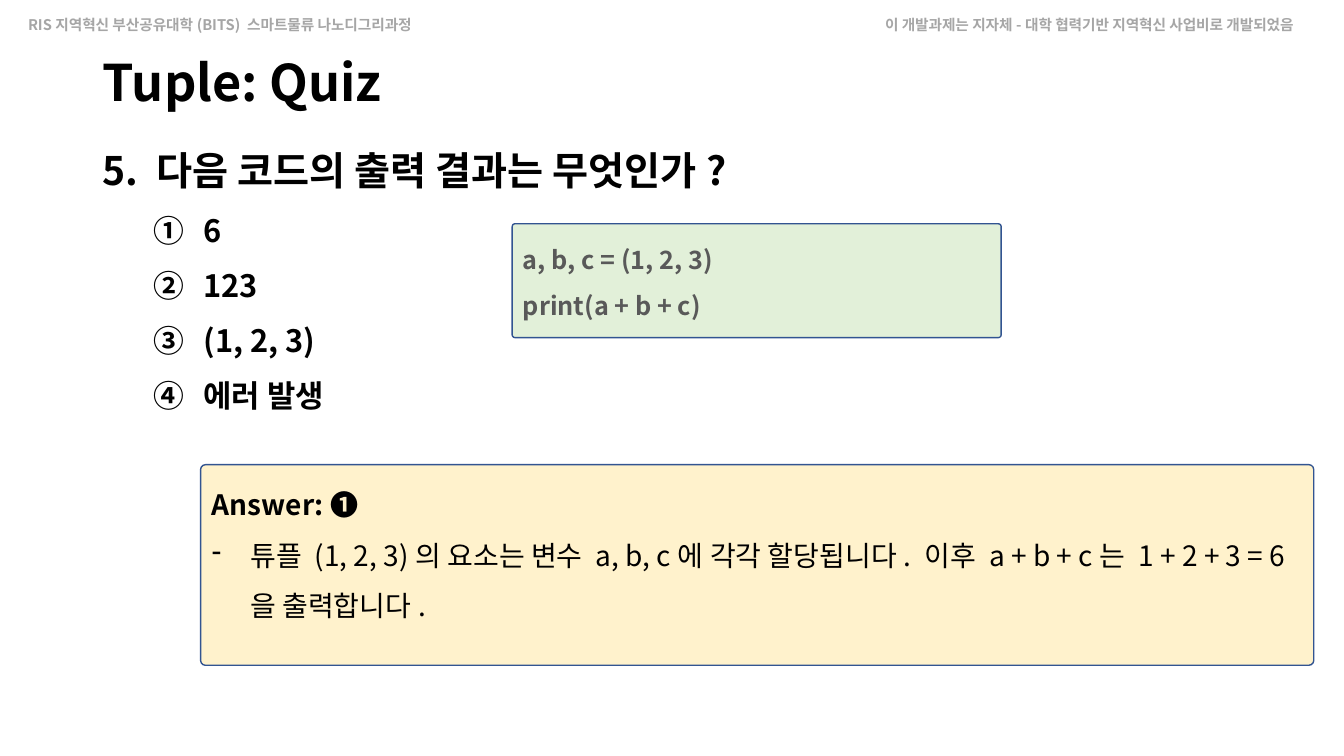
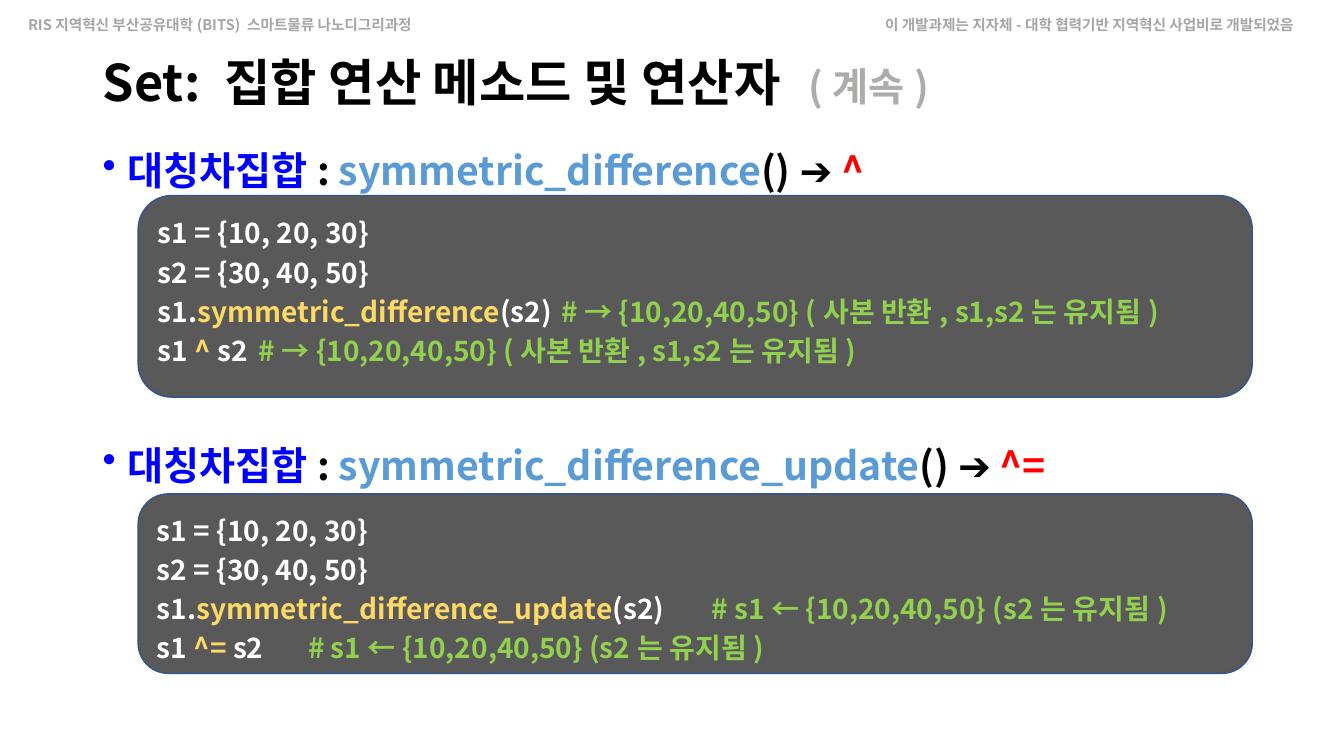
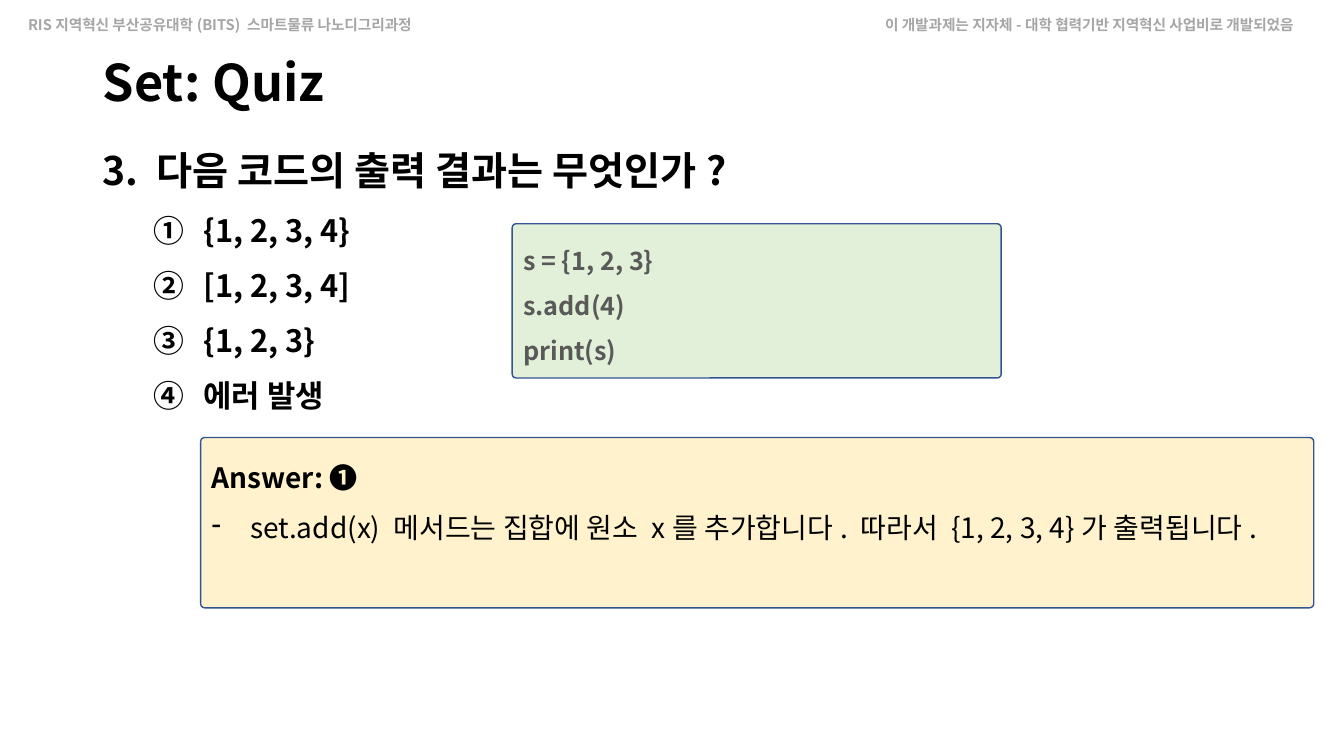
import pptx
import pptx.dml.color
import pptx.enum.shapes
import pptx.enum.text
import pptx.oxml.ns
import pptx.util
from lxml import etree

FONT = "Noto Sans CJK KR"
SLIDE_W, SLIDE_H = 13.33, 7.5
LEFT, BODY_TOP = 0.92, 1.17
COLORS = {
    "black": "000000", "white": "FFFFFF", "header": "A6A6A6", "muted": "AFABAB",
    "term": "0000FF", "method": "5B9BD5", "operator": "FF0000",
    "border": "325491", "answer": "FFF2CC", "quiz_code": "E2F0D9", "dark": "595959",
    "highlight": "FFD966", "comment": "92D050",
}

# Content
HEADERS = [  # text, left, width
    ("RIS지역혁신 부산공유대학(BITS) 스마트물류 나노디그리과정", 0.18, 4.24),
    ("이 개발과제는 지자체-대학 협력기반 지역혁신 사업비로 개발되었음", 8.68, 4.66),
]
TUPLE_QUIZ = {
    "title": "Tuple: Quiz",
    "question": "5. 다음 코드의 출력 결과는 무엇인가?",
    "options": ["6", "123", "(1, 2, 3)", "에러 발생"],
    "code": ["a, b, c = (1, 2, 3)", "print(a + b + c)"],
    "code_height": 1.13,
    "answer": "Answer: ❶",
    "reason": "튜플 (1, 2, 3)의 요소는 변수 a, b, c에 각각 할당됩니다. "
              "이후 a + b + c는 1 + 2 + 3 = 6을 출력합니다.",
    "answer_top": 4.61, "answer_height": 1.99,
}
SET_QUIZ = {
    "title": "Set: Quiz",
    "question": "3. 다음 코드의 출력 결과는 무엇인가?",
    "options": ["{1, 2, 3, 4}", "[1, 2, 3, 4]", "{1, 2, 3}", "에러 발생"],
    "code": ["s = {1, 2, 3}", "s.add(4)", "print(s)"],
    "code_height": 1.53,
    "answer": "Answer: ❶",
    "reason": "set.add(x) 메서드는 집합에 원소 x를 추가합니다. "
              "따라서 {1, 2, 3, 4}가 출력됩니다.",
    "answer_top": 4.34, "answer_height": 1.69,
}
SET_TITLE = [("Set: 집합 연산 메소드 및 연산자\t", "black"), ("(계속)", "muted", 28)]
SET_LINES = ["s1 = {10, 20, 30}", "s2 = {30, 40, 50}"]
SET_METHODS = [  # tabs: where the comment starts on the call and operator lines
    {"method": "symmetric_difference", "operator": "^", "top": 1.94, "height": 2,
     "comment": "# → {10,20,40,50} (사본 반환, s1,s2는 유지됨)", "tabs": (4, 4)},
    {"method": "symmetric_difference_update", "operator": "^=", "top": 4.9, "height": 1.78,
     "comment": "# s1 ← {10,20,40,50} (s2는 유지됨)", "tabs": (6, 5)},
]


def rgb(name):
    return pptx.dml.color.RGBColor.from_string(COLORS[name])


def inches(*lengths):
    return [pptx.util.Inches(length) for length in lengths]


def add_property(properties, tag, **attributes):
    return etree.SubElement(properties, pptx.oxml.ns.qn(tag), attributes)


def write(frame, text, size=20, color="black", bold=True, line=1.0, before=0,
          level=0, indent=0, hang=0, bullet=None, numbering=None, tab=None):
    """Add one paragraph; text is a string or (text, color[, size]) runs."""
    paragraph = frame.paragraphs[0]
    if paragraph.runs:
        paragraph = frame.add_paragraph()
    properties = paragraph._p.get_or_add_pPr()
    properties.set("marL", str(pptx.util.Inches(indent)))
    properties.set("indent", str(pptx.util.Inches(-hang)))
    if bullet:
        add_property(properties, "a:buChar", char=bullet)
    elif numbering:
        add_property(properties, "a:buAutoNum", type=numbering)
    else:
        add_property(properties, "a:buNone")
    if tab:
        stops = add_property(properties, "a:tabLst")
        add_property(stops, "a:tab", pos=str(pptx.util.Inches(tab)), algn="l")
    paragraph.level = level
    paragraph.alignment = pptx.enum.text.PP_ALIGN.LEFT
    paragraph.line_spacing = line
    paragraph.space_before = pptx.util.Pt(before)
    for part, part_color, *part_size in [(text, color)] if isinstance(text, str) else text:
        run = paragraph.add_run()
        run.text = part
        run.font.size = pptx.util.Pt(part_size[0] if part_size else size)
        run.font.bold = bold
        run.font.name = FONT
        run.font.color.rgb = rgb(part_color)
        add_property(run._r.get_or_add_rPr(), "a:ea", typeface=FONT)


def text_box(slide, left, top, width, height):
    box = slide.shapes.add_textbox(*inches(left, top, width, height))
    box.text_frame.word_wrap = True
    return box


def panel(slide, left, top, width, height, fill, corner=None):
    shape = slide.shapes.add_shape(pptx.enum.shapes.MSO_SHAPE.ROUNDED_RECTANGLE,
                                   *inches(left, top, width, height))
    if corner is not None:
        shape.adjustments[0] = corner
    shape.shadow.inherit = False
    shape.fill.solid()
    shape.fill.fore_color.rgb = rgb(fill)
    shape.line.color.rgb = rgb("border")
    shape.line.width = pptx.util.Pt(1)
    shape.text_frame.word_wrap = True
    shape.text_frame.vertical_anchor = pptx.enum.text.MSO_ANCHOR.TOP
    return shape.text_frame


def titled_slide(deck, layout, title, width=11.5, tab=None):
    slide = deck.slides.add_slide(layout)
    holder = slide.shapes.title
    holder.left, holder.top, holder.width, holder.height = inches(LEFT, 0.4, width, 0.9)
    holder.text_frame.auto_size = pptx.enum.text.MSO_AUTO_SIZE.NONE
    holder.text_frame.vertical_anchor = pptx.enum.text.MSO_ANCHOR.MIDDLE
    write(holder.text_frame, title, size=36, line=0.9, tab=tab)
    return slide


def add_headers(slide, layout):
    """Write the running headers and hand them to the shared layout."""
    for text, left, width in HEADERS:
        header = text_box(slide, left, 0.11, width, 0.28)
        write(header.text_frame, text, size=10.5, color="header")
        layout.shapes._spTree.append(header._element)


def quiz_slide(deck, layout, quiz):
    slide = titled_slide(deck, layout, quiz["title"])
    # Question and options
    body = text_box(slide, LEFT, BODY_TOP, 12.28, SLIDE_H - BODY_TOP).text_frame
    write(body, quiz["question"], size=28, line=1.5)
    for option in quiz["options"]:
        write(body, option, size=22, line=1.3, before=5, level=1,
              indent=1, hang=0.5, numbering="circleNumDbPlain")
    # Answer
    answer = panel(slide, 1.99, quiz["answer_top"], 11.04, quiz["answer_height"], "answer", 0.024)
    write(answer, quiz["answer"], line=1.5)
    write(answer, quiz["reason"], bold=False, line=1.5, indent=0.38, hang=0.38, bullet="-")
    # Code
    code = panel(slide, 5.08, 2.22, 4.85, quiz["code_height"], "quiz_code", 0.025)
    for code_line in quiz["code"]:
        write(code, code_line, size=18, color="dark", line=1.5)
    return slide


def methods_slide(deck, layout):
    slide = titled_slide(deck, layout, SET_TITLE, width=12.23, tab=7.2)
    body = text_box(slide, LEFT, BODY_TOP, 12.08, SLIDE_H - BODY_TOP).text_frame
    for index, entry in enumerate(SET_METHODS):
        method, operator = entry["method"], entry["operator"]
        # Heading
        write(body, [("대칭차집합", "term"), (": ", "black"), (method, "method"),
                     ("() ➔ ", "black"), (operator, "operator")],
              size=28, line=1.5, before=160 * index, indent=0.25, hang=0.25, bullet="•")
        # Code
        code = panel(slide, 1.37, entry["top"], 11.05, entry["height"], "dark")
        comment = (entry["comment"], "comment")
        call = [("s1.", "white"), (method, "highlight"), ("(s2)\t", "white"), comment]
        operation = [("s1 ", "white"), (operator, "highlight"), (" s2\t", "white"), comment]
        for code_line, tab in zip(SET_LINES + [call, operation], (None, None) + entry["tabs"]):
            write(code, code_line, color="white", line=pptx.util.Pt(28), tab=tab)


def main():
    deck = pptx.Presentation()
    deck.slide_width, deck.slide_height = inches(SLIDE_W, SLIDE_H)
    layout = deck.slide_layouts[5]
    first = quiz_slide(deck, layout, TUPLE_QUIZ)
    add_headers(first, layout)
    methods_slide(deck, layout)
    quiz_slide(deck, layout, SET_QUIZ)
    deck.save("out.pptx")


if __name__ == "__main__":
    main()
